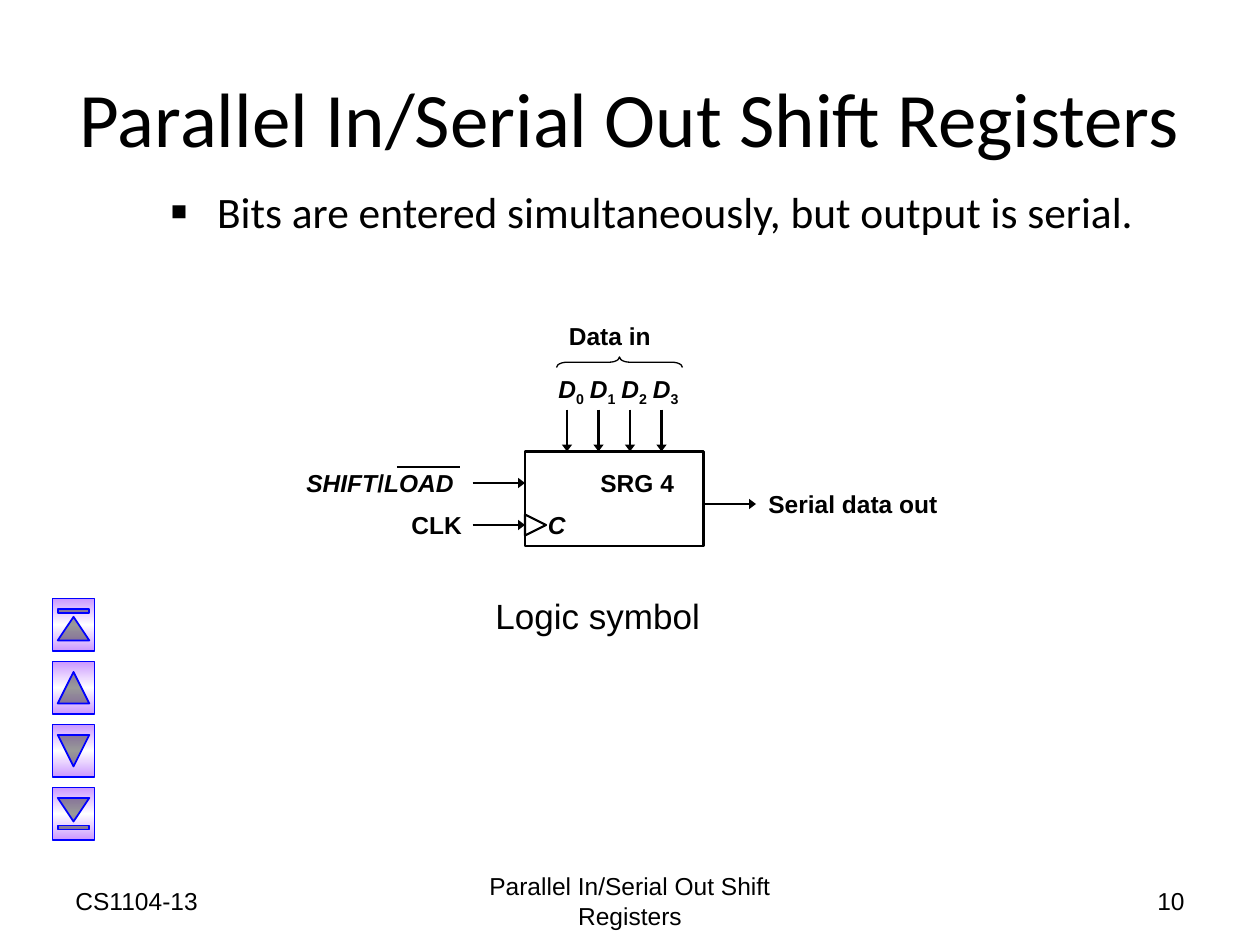
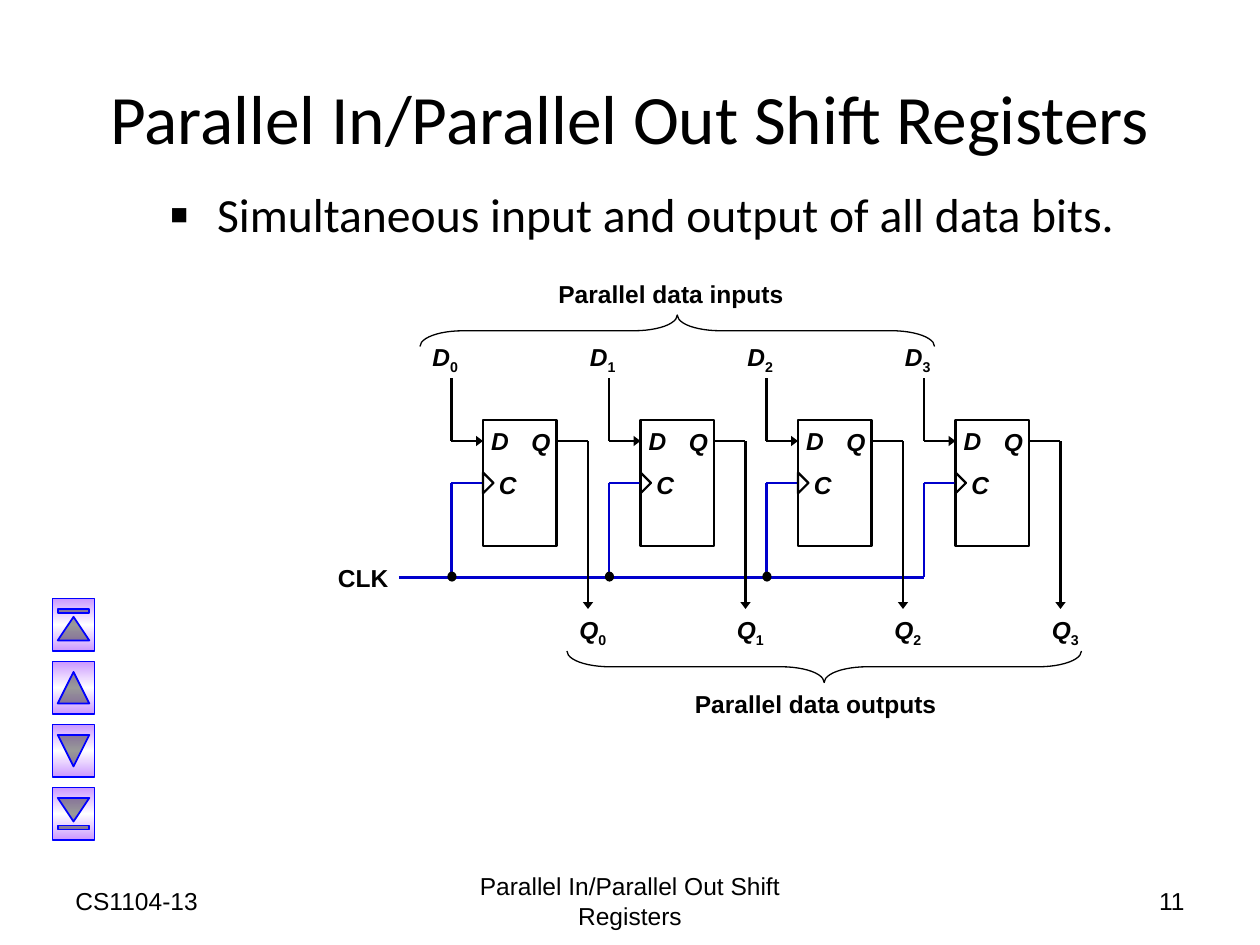
from dataclasses import dataclass, field

from lxml import etree
from pptx import Presentation
from pptx import slide as s
from pptx import util as u
from pptx.dml import color
from pptx.enum import shapes, text
from pptx.oxml import ns, parse_xml
from pptx.shapes import autoshape, connector

Pt = u.Pt
Kind = shapes.MSO_SHAPE
Align = text.PP_ALIGN


@dataclass(frozen=True)
class Theme:
    ink: str = "000000"
    clock: str = "0000CC"
    button_edge: str = "0000FF"
    button_tint: str = "CC99FF"
    button_shine: str = "FFFFFF"
    heading_font: str = "Calibri"
    label_font: str = "Arial"
    label_size: float = 14
    caption_size: float = 20
    wire: float = 1.25
    outline: float = 1.5
    thin: float = 0.75
    button_line: float = 1


THEME = Theme()


@dataclass(frozen=True)
class Span:
    words: str
    italic: bool = False
    subscript: bool = False


@dataclass(frozen=True)
class Label:
    spans: list[Span]
    left: float
    top: float
    width: float
    height: float = 24
    wrap: bool = True
    bold: bool = True
    size: float = THEME.label_size
    font: str = THEME.label_font
    align: Align = Align.LEFT
    anchor: text.MSO_ANCHOR = text.MSO_ANCHOR.TOP
    fit: text.MSO_AUTO_SIZE = text.MSO_AUTO_SIZE.SHAPE_TO_FIT_TEXT


@dataclass(frozen=True)
class Wire:
    x1: float
    y1: float
    x2: float
    y2: float
    arrow: bool = False
    ink: str = THEME.ink


@dataclass(frozen=True)
class Outline:
    kind: Kind
    left: float
    top: float
    width: float
    height: float
    line: float
    rotation: float = 0
    fill: str = ""
    edge: str = THEME.ink
    adjust: list[float] = field(default_factory=list)


@dataclass(frozen=True)
class Topic:
    title: str
    title_size: float
    point: str
    point_size: float
    number: int


def rgb(code: str) -> color.RGBColor:
    return color.RGBColor.from_string(code)


def write(para, spans: list[Span], font: str, size: float, bold: bool = False) -> None:
    for part in spans:
        span = para.add_run()
        span.text = part.words
        span.font.name = font
        span.font.size = Pt(size)
        span.font.bold = bold
        span.font.italic = part.italic
        span.font.color.rgb = rgb(THEME.ink)
        if part.subscript:
            span._r.get_or_add_rPr().set("baseline", "-25000")


def draw_label(page: s.Slide, label: Label) -> autoshape.Shape:
    box = page.shapes.add_textbox(
        Pt(label.left), Pt(label.top), Pt(label.width), Pt(label.height)
    )
    frame = box.text_frame
    frame.word_wrap = label.wrap
    frame.auto_size = label.fit
    frame.vertical_anchor = label.anchor
    para = frame.paragraphs[0]
    para.alignment = label.align
    write(para, label.spans, label.font, label.size, label.bold)
    return box


def draw_wire(page: s.Slide, wire: Wire) -> connector.Connector:
    line = page.shapes.add_connector(
        shapes.MSO_CONNECTOR.STRAIGHT,
        Pt(wire.x1), Pt(wire.y1), Pt(wire.x2), Pt(wire.y2),
    )
    line.line.color.rgb = rgb(wire.ink)
    line.line.width = Pt(THEME.wire)
    properties = line._element.spPr
    if wire.arrow:
        stroke = properties.find(ns.qn("a:ln"))
        etree.SubElement(stroke, ns.qn("a:tailEnd"), type="triangle", len="sm")
    etree.SubElement(properties, ns.qn("a:effectLst"))
    return line


def draw_outline(page: s.Slide, outline: Outline) -> autoshape.Shape:
    shape = page.shapes.add_shape(
        outline.kind,
        Pt(outline.left), Pt(outline.top), Pt(outline.width), Pt(outline.height),
    )
    shape.shadow.inherit = False
    shape.rotation = outline.rotation
    for index, value in enumerate(outline.adjust):
        shape.adjustments[index] = value
    if outline.fill:
        shape.fill.solid()
        shape.fill.fore_color.rgb = rgb(outline.fill)
    else:
        shape.fill.background()
    shape.line.color.rgb = rgb(outline.edge)
    shape.line.width = Pt(outline.line)
    return shape


def draw_brace(page: s.Slide, left: float, top: float, width: float,
               height: float, curve: float, rotation: float) -> None:
    draw_outline(page, Outline(
        Kind.LEFT_BRACE,
        left + (width - height) / 2, top + (height - width) / 2, height, width,
        THEME.thin, rotation, adjust=[curve, 0.5],
    ))


def draw_clock_mark(page: s.Slide, left: float, middle: float, depth: float) -> None:
    draw_outline(page, Outline(
        Kind.ISOSCELES_TRIANGLE,
        left + depth / 2 - 6, middle - depth / 2, 12, depth, THEME.wire, 90,
    ))


def draw_buttons(page: s.Slide) -> None:
    stops = ((0, THEME.button_tint), (50, THEME.button_shine), (100, THEME.button_tint))
    stop_xml = "".join(
        f'<a:gs pos="{place * 1000}"><a:srgbClr val="{tint}"/></a:gs>'
        for place, tint in stops
    )
    kinds = (
        Kind.ACTION_BUTTON_BEGINNING,
        Kind.ACTION_BUTTON_BACK_OR_PREVIOUS,
        Kind.ACTION_BUTTON_FORWARD_OR_NEXT,
        Kind.ACTION_BUTTON_END,
    )
    for index, kind in enumerate(kinds):
        button = draw_outline(page, Outline(
            kind, 27, 345 + 36 * index, 30, 24, THEME.button_line, 90,
            edge=THEME.button_edge,
        ))
        gradient = parse_xml(
            f'<a:gradFill {ns.nsdecls("a")} rotWithShape="0"><a:gsLst>{stop_xml}'
            '</a:gsLst><a:lin ang="5400000" scaled="1"/></a:gradFill>'
        )
        properties = button._element.spPr
        properties.replace(properties.find(ns.qn("a:noFill")), gradient)


def draw_point(page: s.Slide, topic: Topic) -> None:
    box = page.shapes.add_textbox(Pt(90), Pt(102), Pt(606), Pt(42))
    box.text_frame.word_wrap = True
    para = box.text_frame.paragraphs[0]
    properties = para._p.get_or_add_pPr()
    properties.set("marL", str(Pt(27)))
    properties.set("indent", str(-Pt(27)))
    etree.SubElement(properties, ns.qn("a:buSzPct"), val="120000")
    etree.SubElement(properties, ns.qn("a:buFont"), typeface=THEME.label_font)
    etree.SubElement(properties, ns.qn("a:buChar"), char="▪")
    write(para, [Span(topic.point)], THEME.heading_font, topic.point_size)


def start_page(deck, topic: Topic) -> s.Slide:
    page = deck.slides.add_slide(deck.slide_layouts[5])
    title = page.shapes.title
    title.left, title.top, title.width, title.height = Pt(36), Pt(21.6), Pt(648), Pt(90)
    frame = title.text_frame
    frame.word_wrap = True
    frame.auto_size = text.MSO_AUTO_SIZE.NONE
    frame.vertical_anchor = text.MSO_ANCHOR.MIDDLE
    para = frame.paragraphs[0]
    para.alignment = Align.CENTER
    write(para, [Span(topic.title)], THEME.heading_font, topic.title_size)
    draw_point(page, topic)
    footers = (
        ("CS1104-13", 36, 168, Align.LEFT),
        (topic.title, 246, 228, Align.CENTER),
        (str(topic.number), 516, 168, Align.RIGHT),
    )
    for words, left, width, align in footers:
        draw_label(page, Label(
            [Span(words)], left, 500.4, width, 28.8, bold=False, align=align,
            anchor=text.MSO_ANCHOR.MIDDLE, fit=text.MSO_AUTO_SIZE.NONE,
        ))
    draw_buttons(page)
    return page


def indexed(letter: str, index: int, left: float, top: float) -> Label:
    spans = [Span(letter, italic=True), Span(str(index), subscript=True)]
    return Label(spans, left, top, 31, wrap=False)


def draw_logic_symbol(page: s.Slide) -> None:
    draw_outline(page, Outline(Kind.RECTANGLE, 300, 258, 102, 54, THEME.outline))
    draw_clock_mark(page, 300, 300, 12)
    for y in (276, 300):
        draw_wire(page, Wire(270, y, 300, y, arrow=True))
    for index in range(4):
        x = 324 + 18 * index
        draw_wire(page, Wire(x, 234, x, 258, arrow=True))
        draw_label(page, indexed("D", index, x - 12, 210))
    draw_wire(page, Wire(402, 288, 432, 288, arrow=True))
    draw_wire(page, Wire(226.8, 267, 262.8, 267))
    draw_brace(page, 318, 204, 72, 6, 1, 90)
    labels = (
        Label([Span("C", italic=True)], 306, 288, 24),
        Label([Span("CLK")], 228, 288, 48),
        Label([Span("SHIFT", True), Span("/"), Span("LOAD", True)], 168, 264, 102),
        Label([Span("SRG 4")], 336, 264, 60),
        Label([Span("Serial data out")], 432, 276, 114),
        Label([Span("Data in")], 318, 180, 72),
        Label([Span("Logic symbol")], 276, 336, 150, 31, bold=False, size=THEME.caption_size),
    )
    for label in labels:
        draw_label(page, label)


def draw_stage(page: s.Slide, index: int, last: bool) -> None:
    tap = 258 + 90 * index
    left, right, output = tap + 18, tap + 60, tap + 78
    flip_flop = draw_outline(page, Outline(Kind.RECTANGLE, left, 240, 42, 72, THEME.outline))
    wires = (
        Wire(tap, 216, tap, 252),
        Wire(tap, 252, left, 252, arrow=True),
        Wire(right, 252, output, 252),
        Wire(output, 252, output, 348, arrow=True),
        Wire(tap, 276, tap, 330, ink=THEME.clock),
    )
    for wire in wires:
        draw_wire(page, wire)
    clock_in = draw_wire(page, Wire(tap, 276, left, 276, ink=THEME.clock))
    clock_in.end_connect(flip_flop, 1)
    draw_clock_mark(page, left, 276, 6)
    if not last:
        draw_outline(page, Outline(
            Kind.OVAL, tap - 2, 327, 4.5, 5, THEME.thin, fill=THEME.ink
        ))
    pins = (("D", left - 2.4, 240), ("Q", left + 20.6, 240.5), ("C", left + 2, 265))
    for letter, x, y in pins:
        draw_label(page, Label([Span(letter, italic=True)], x, y, 25, wrap=False))
    draw_label(page, indexed("D", index, tap - 18, 192))
    draw_label(page, indexed("Q", index, output - 12, 348))


def draw_parallel_register(page: s.Slide) -> None:
    draw_wire(page, Wire(228, 330, 528, 330, ink=THEME.clock))
    for index in range(4):
        draw_stage(page, index, last=index == 3)
    draw_brace(page, 240, 180, 294, 18, 1.36, 90)
    draw_brace(page, 324, 372, 294, 18, 1.36, 270)
    draw_label(page, Label([Span("CLK")], 186, 318, 44, wrap=False))
    draw_label(page, Label([Span("Parallel data inputs")], 312, 156, 144))
    draw_label(page, Label([Span("Parallel data outputs")], 390, 390, 156))


def main() -> None:
    deck = Presentation()
    deck.slide_width, deck.slide_height = Pt(720), Pt(540)
    draw_logic_symbol(start_page(deck, Topic(
        "Parallel In/Serial Out Shift Registers", 44,
        "Bits are entered simultaneously, but output is serial.", 24.8, 10,
    )))
    draw_parallel_register(start_page(deck, Topic(
        "Parallel In/Parallel Out Shift Registers", 39.6,
        "Simultaneous input and output of all data bits.", 27.2, 11,
    )))
    deck.save("out.pptx")


if __name__ == "__main__":
    main()
